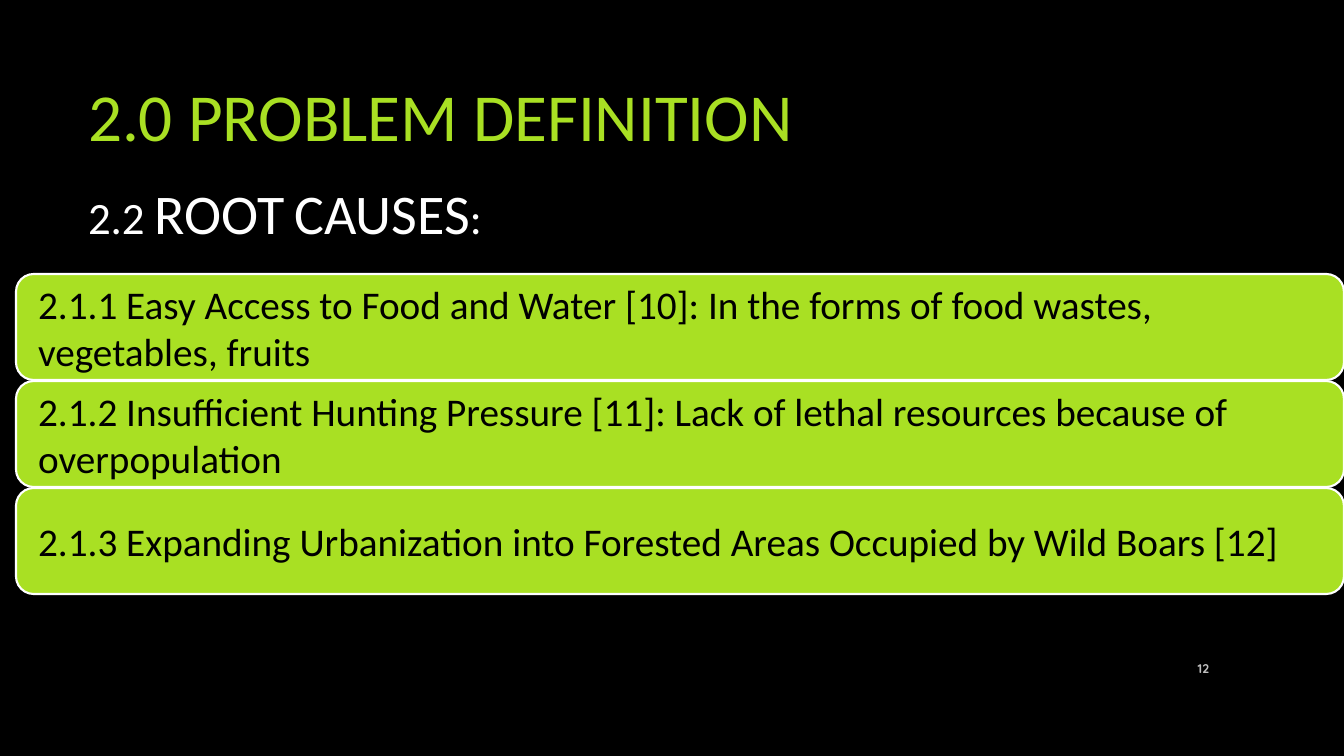
from dataclasses import dataclass

from pptx import Presentation
from pptx.dml.color import RGBColor
from pptx.enum.shapes import MSO_SHAPE as Shape
from pptx.enum.text import MSO_ANCHOR as Anchor, MSO_AUTO_SIZE as AutoSize, PP_ALIGN as Align
from pptx.oxml.ns import qn
from pptx.util import Pt
from lxml.etree import SubElement

TITLE = "2.0 PROBLEM DEFINITION"
HEADING = "2.2 ROOT CAUSES:"
CAUSES = [
    "2.1.1 Easy Access to Food and Water [10]: In the forms of food wastes, vegetables, fruits",
    "2.1.2 Insufficient Hunting Pressure [11]: Lack of lethal resources because of overpopulation",
    "2.1.3 Expanding Urbanization into Forested Areas Occupied by Wild Boars [12]",
]
PAGE_NUMBER = "12"


@dataclass(frozen=True)
class Theme:
    black: RGBColor = RGBColor.from_string("000000")
    white: RGBColor = RGBColor.from_string("FFFFFF")
    green: RGBColor = RGBColor.from_string("A9E023")
    grey: RGBColor = RGBColor.from_string("BFBFBF")
    text_font: str = "Calibri"
    number_font: str = "Quicksand"
    title_size: int = 48
    heading_size: int = 40
    cause_size: int = 28
    number_size: int = 9


THEME = Theme()
SLIDE_WIDTH, SLIDE_HEIGHT = 1344, 756
TITLE_BOX = (78, 45, 1092, 140)
HEADING_BOX = (78, 173, 1157, 129)
NUMBER_BOX = (1159, 648, 60, 40)
CAUSE_LEFT, CAUSE_TOP, CAUSE_WIDTH, CAUSE_HEIGHT = 16, 274, 1328, 106
CAUSE_PITCH = 107
CAUSE_INSET = 17


def px(length):
    return round(length * 914400 / 100.8)


def place(box, area):
    box.left, box.top, box.width, box.height = map(px, area)


def write(box, text, size, color, anchor, align=Align.LEFT, font=THEME.text_font, bold=False):
    frame = box.text_frame
    frame.text = text
    frame.word_wrap = True
    frame.auto_size = AutoSize.NONE
    frame.vertical_anchor = anchor
    para = frame.paragraphs[0]
    para.alignment = align
    para.space_before = Pt(0)
    span = para.runs[0]
    span.font.size = Pt(size)
    span.font.name = font
    span.font.bold = bold
    span.font.color.rgb = color
    return para


def add_heading(page):
    box = page.placeholders[1]
    place(box, HEADING_BOX)
    para = write(box, HEADING, THEME.heading_size, THEME.white, Anchor.TOP)
    para.space_after = Pt(6)
    properties = para._p.get_or_add_pPr()
    properties.set("marL", "0")
    properties.set("indent", "0")
    SubElement(properties, qn("a:buNone"))
    para.runs[0]._r.get_or_add_rPr().set("cap", "small")


def add_cause(page, index, text):
    top = CAUSE_TOP + index * CAUSE_PITCH
    area = (CAUSE_LEFT, top, CAUSE_WIDTH, CAUSE_HEIGHT)
    box = page.shapes.add_shape(Shape.ROUNDED_RECTANGLE, *map(px, area))
    box.shadow.inherit = False
    box.fill.solid()
    box.fill.fore_color.rgb = THEME.green
    box.line.color.rgb = THEME.white
    box.line.width = Pt(1.5)
    write(box, text, THEME.cause_size, THEME.black, Anchor.MIDDLE)
    frame = box.text_frame
    frame.margin_left = frame.margin_right = px(CAUSE_INSET)
    frame.margin_top = frame.margin_bottom = 0


def main():
    deck = Presentation()
    deck.slide_width, deck.slide_height = px(SLIDE_WIDTH), px(SLIDE_HEIGHT)
    page = deck.slides.add_slide(deck.slide_layouts[1])
    page.background.fill.solid()
    page.background.fill.fore_color.rgb = THEME.black

    title = page.shapes.title
    place(title, TITLE_BOX)
    write(title, TITLE, THEME.title_size, THEME.green, Anchor.MIDDLE)
    add_heading(page)
    for index, text in enumerate(CAUSES):
        add_cause(page, index, text)

    number = page.shapes.add_textbox(*map(px, NUMBER_BOX))
    write(number, PAGE_NUMBER, THEME.number_size, THEME.grey, Anchor.MIDDLE,
          Align.RIGHT, THEME.number_font, True)
    deck.save("out.pptx")


if __name__ == "__main__":
    main()
